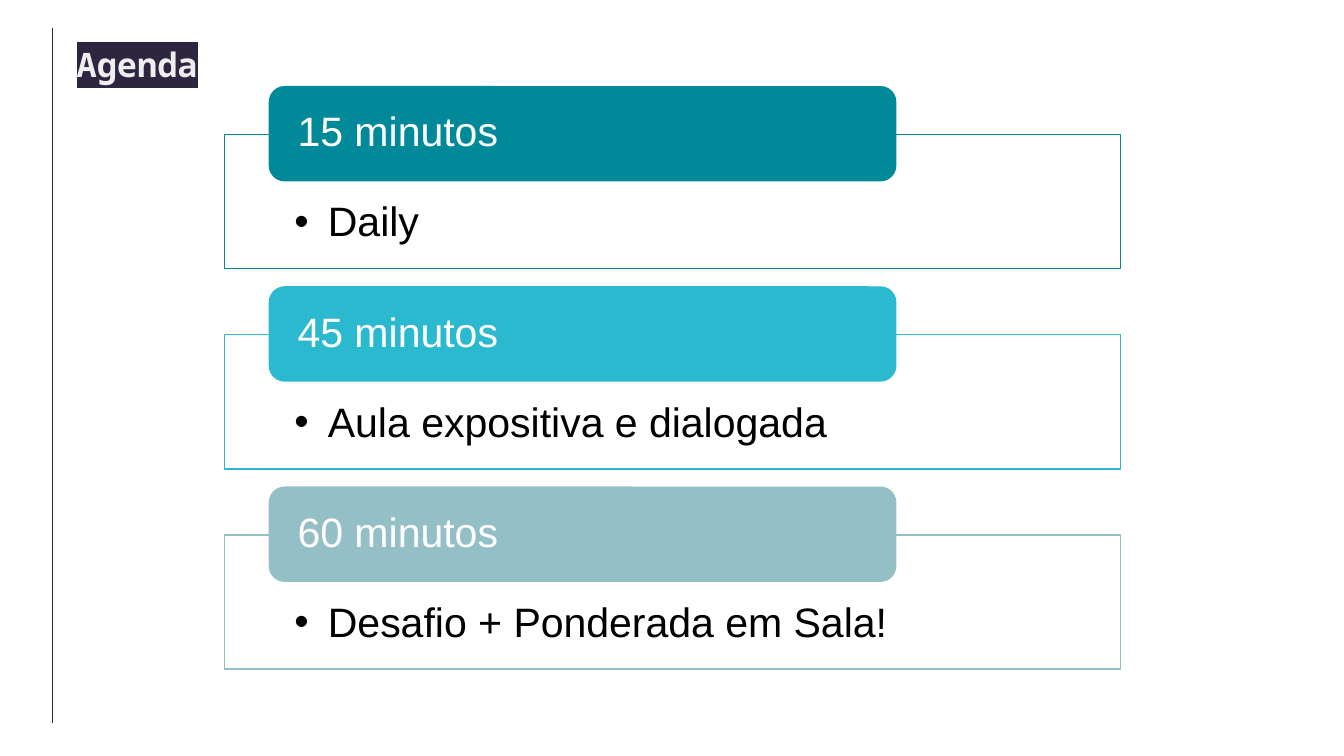
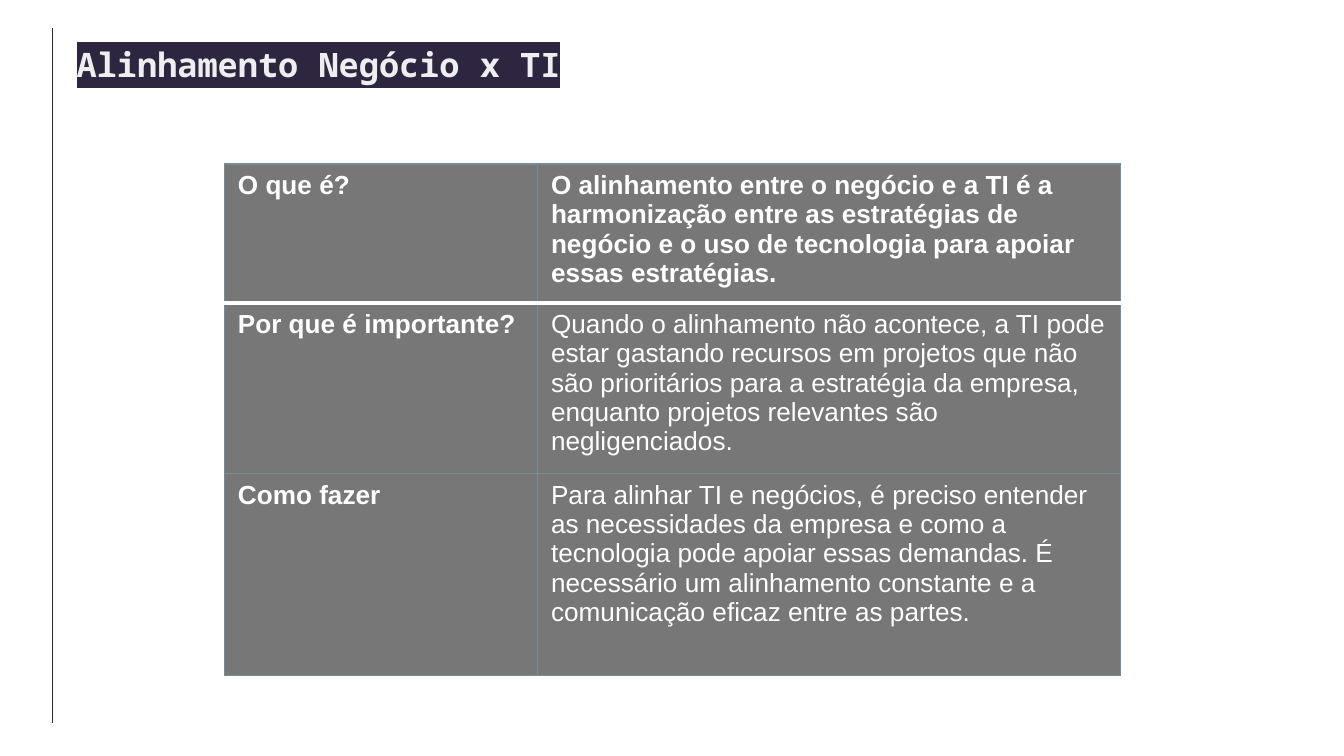
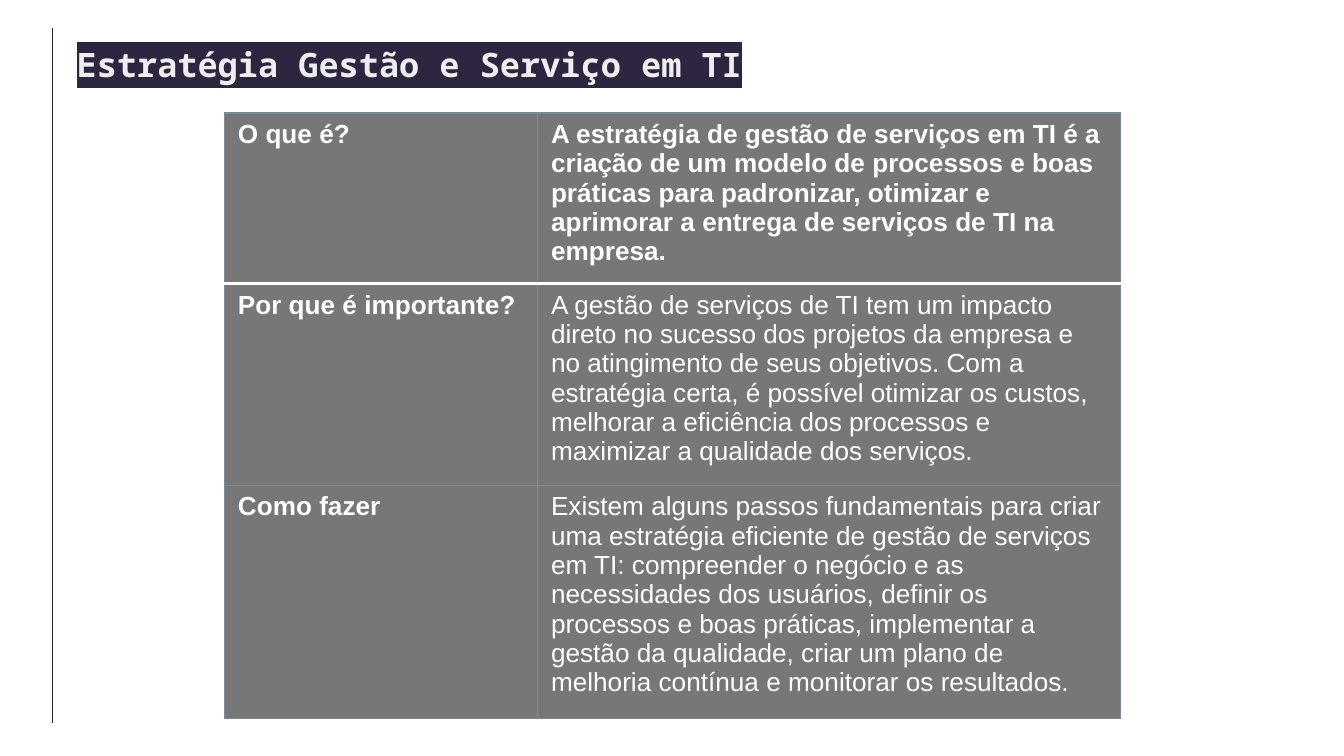
import pptx
import pptx.dml.color
import pptx.enum.shapes
import pptx.enum.text
import pptx.oxml
import pptx.oxml.ns
import pptx.util
from dataclasses import dataclass

Inches = pptx.util.Inches
Pt = pptx.util.Pt
SHAPES = pptx.enum.shapes.MSO_SHAPE
ANCHOR = pptx.enum.text.MSO_ANCHOR

# Content
AGENDA_TITLE = "Agenda"
AGENDA = [
    ("15 minutos", "Daily", "008998"),
    ("45 minutos", "Aula expositiva e dialogada", "2BB9CF"),
    ("60 minutos", "Desafio + Ponderada em Sala!", "95BFC7"),
]
QUESTIONS = ["O que é?", "Por que é importante?", "Como fazer"]
TABLE_SLIDES = [
    {
        "title": "Alinhamento Negócio x TI",
        "top": 1.22,
        "heights": [1.03, 1.27, 1.5],
        "answers": [
            "O alinhamento entre o negócio e a TI é a harmonização entre as estratégias "
            "de negócio e o uso de tecnologia para apoiar essas estratégias.",
            "Quando o alinhamento não acontece, a TI pode estar gastando recursos em "
            "projetos que não são prioritários para a estratégia da empresa, enquanto "
            "projetos relevantes são negligenciados.",
            "Para alinhar TI e negócios, é preciso entender as necessidades da empresa e "
            "como a tecnologia pode apoiar essas demandas. É necessário um alinhamento "
            "constante e a comunicação eficaz entre as partes.",
        ],
    },
    {
        "title": "Estratégia Gestão e Serviço em TI",
        "top": 0.84,
        "heights": [1.27, 1.5, 1.73],
        "answers": [
            "A estratégia de gestão de serviços em TI é a criação de um modelo de "
            "processos e boas práticas para padronizar, otimizar e aprimorar a entrega "
            "de serviços de TI na empresa.",
            "A gestão de serviços de TI tem um impacto direto no sucesso dos projetos da "
            "empresa e no atingimento de seus objetivos. Com a estratégia certa, é "
            "possível otimizar os custos, melhorar a eficiência dos processos e "
            "maximizar a qualidade dos serviços.",
            "Existem alguns passos fundamentais para criar uma estratégia eficiente de "
            "gestão de serviços em TI: compreender o negócio e as necessidades dos "
            "usuários, definir os processos e boas práticas, implementar a gestão da "
            "qualidade, criar um plano de melhoria contínua e monitorar os resultados.",
        ],
    },
]


@dataclass(frozen=True)
class Theme:
    dark: str = "2E2640"
    title_text: str = "EEEEEE"
    white: str = "FFFFFF"
    black: str = "000000"
    cell: str = "777777"
    border: str = "748D99"
    title_font: str = "Noto Sans Mono"
    body_font: str = "Arial"
    title_size: int = 18
    agenda_size: int = 22
    table_size: int = 14
    line: float = 0.75
    header_line: float = 2


THEME = Theme()
CONTENT_LEFT, CONTENT_WIDTH = 1.67, 6.67


def rgb(value):
    return pptx.dml.color.RGBColor.from_string(value)


def element(tag, content="", attributes=""):
    namespace = pptx.oxml.ns.nsdecls("a")
    return pptx.oxml.parse_xml(f"<a:{tag} {namespace} {attributes}>{content}</a:{tag}>")


def color_xml(value):
    return f'<a:srgbClr val="{value}"/>'


def write(frame, text, *, size, color, font=THEME.body_font, bold=False, insets=None,
          anchor=None, spacing=None, highlight=None, bullet=False):
    """Fill a text frame with one formatted paragraph."""
    frame.word_wrap = True
    if insets:
        (frame.margin_left, frame.margin_top,
         frame.margin_right, frame.margin_bottom) = map(Inches, insets)
    if anchor is not None:
        frame.vertical_anchor = anchor
    paragraph = frame.paragraphs[0]
    paragraph.alignment = pptx.enum.text.PP_ALIGN.LEFT
    if spacing:
        paragraph.line_spacing = spacing
    if bullet:
        properties = paragraph._p.get_or_add_pPr()
        properties.set("marL", str(Inches(0.25)))
        properties.set("indent", str(-Inches(0.25)))
        properties.append(element("buClr", color_xml(color)))
        properties.append(element("buFont", attributes=f'typeface="{font}"'))
        properties.append(element("buChar", attributes='char="•"'))
    run = paragraph.add_run()
    run.text = text
    run.font.name, run.font.size, run.font.bold = font, Pt(size), bold
    run.font.color.rgb = rgb(color)
    if highlight:
        fill = run._r.get_or_add_rPr().find(pptx.oxml.ns.qn("a:solidFill"))
        fill.addnext(element("highlight", color_xml(highlight)))


def add_box(slide, kind, left, top, width, height, fill, line=None):
    shape = slide.shapes.add_shape(kind, *map(Inches, (left, top, width, height)))
    shape.shadow.inherit = False
    shape.fill.solid()
    shape.fill.fore_color.rgb = rgb(fill)
    if line:
        shape.line.color.rgb = rgb(line)
        shape.line.width = Pt(THEME.line)
    else:
        shape.line.fill.background()
    return shape


def add_titled_slide(presentation, title):
    """Blank slide with the highlighted title and the vertical rule."""
    slide = presentation.slides.add_slide(presentation.slide_layouts[6])
    box = slide.shapes.add_textbox(*map(Inches, (0.57, 0.28, 6.62, 0.4)))
    write(box.text_frame, title, size=THEME.title_size, color=THEME.title_text,
          font=THEME.title_font, bold=True, insets=(0, 0.05, 0.05, 0.05),
          highlight=THEME.dark)
    box.text_frame.auto_size = pptx.enum.text.MSO_AUTO_SIZE.SHAPE_TO_FIT_TEXT
    rule = slide.shapes.add_connector(pptx.enum.shapes.MSO_CONNECTOR.STRAIGHT,
                                      *map(Inches, (0.39, 0.21, 0.39, 5.38)))
    rule.line.color.rgb = rgb(THEME.dark)
    rule.line.width = Pt(THEME.line)
    rule._element.spPr.append(element("effectLst"))
    return slide


def add_agenda_slide(presentation):
    slide = add_titled_slide(presentation, AGENDA_TITLE)
    first_top, pitch, bar_rise = 1, 1.49, 0.36
    for index, (duration, activity, color) in enumerate(AGENDA):
        top = first_top + index * pitch
        frame = add_box(slide, SHAPES.RECTANGLE, CONTENT_LEFT, top, CONTENT_WIDTH, 1,
                        THEME.white, line=color)
        write(frame.text_frame, activity, size=THEME.agenda_size, color=THEME.black,
              insets=(0.52, 0.5, 0.52, 0.17), anchor=ANCHOR.TOP, spacing=0.9, bullet=True)
        bar = add_box(slide, SHAPES.ROUNDED_RECTANGLE, 2, top - bar_rise, 4.67, 0.71, color)
        write(bar.text_frame, duration, size=THEME.agenda_size, color=THEME.white,
              insets=(0.18, 0, 0.18, 0), anchor=ANCHOR.MIDDLE, spacing=0.9)


def set_borders(cell, row):
    """Thin lines all round, with a thick white one under the header row."""
    white = (THEME.white, THEME.header_line)
    thin = (THEME.border, THEME.line)
    sides = {"lnL": thin, "lnR": thin, "lnT": white if row == 1 else thin,
             "lnB": white if row == 0 else thin}
    properties = cell._tc.get_or_add_tcPr()
    for position, (tag, (color, width)) in enumerate(sides.items()):
        fill = f"<a:solidFill>{color_xml(color)}</a:solidFill>"
        properties.insert(position, element(tag, fill, f'w="{Pt(width)}"'))


def add_table_slide(presentation, content):
    slide = add_titled_slide(presentation, content["title"])
    heights = content["heights"]
    table = slide.shapes.add_table(
        len(QUESTIONS), 2,
        *map(Inches, (CONTENT_LEFT, content["top"], CONTENT_WIDTH, sum(heights)))).table
    for column, width in zip(table.columns, (2.33, 4.34)):
        column.width = Inches(width)
    for row, texts in enumerate(zip(QUESTIONS, content["answers"])):
        table.rows[row].height = Inches(heights[row])
        for column, text in enumerate(texts):
            cell = table.cell(row, column)
            cell.fill.solid()
            cell.fill.fore_color.rgb = rgb(THEME.cell)
            set_borders(cell, row)
            write(cell.text_frame, text, size=THEME.table_size, color=THEME.white,
                  bold=row == 0 or column == 0)


def main():
    presentation = pptx.Presentation()
    # Widescreen, 16:9
    presentation.slide_width = Inches(10)
    presentation.slide_height = Inches(10 * 9 / 16)
    add_agenda_slide(presentation)
    for content in TABLE_SLIDES:
        add_table_slide(presentation, content)
    presentation.save("out.pptx")


if __name__ == "__main__":
    main()
